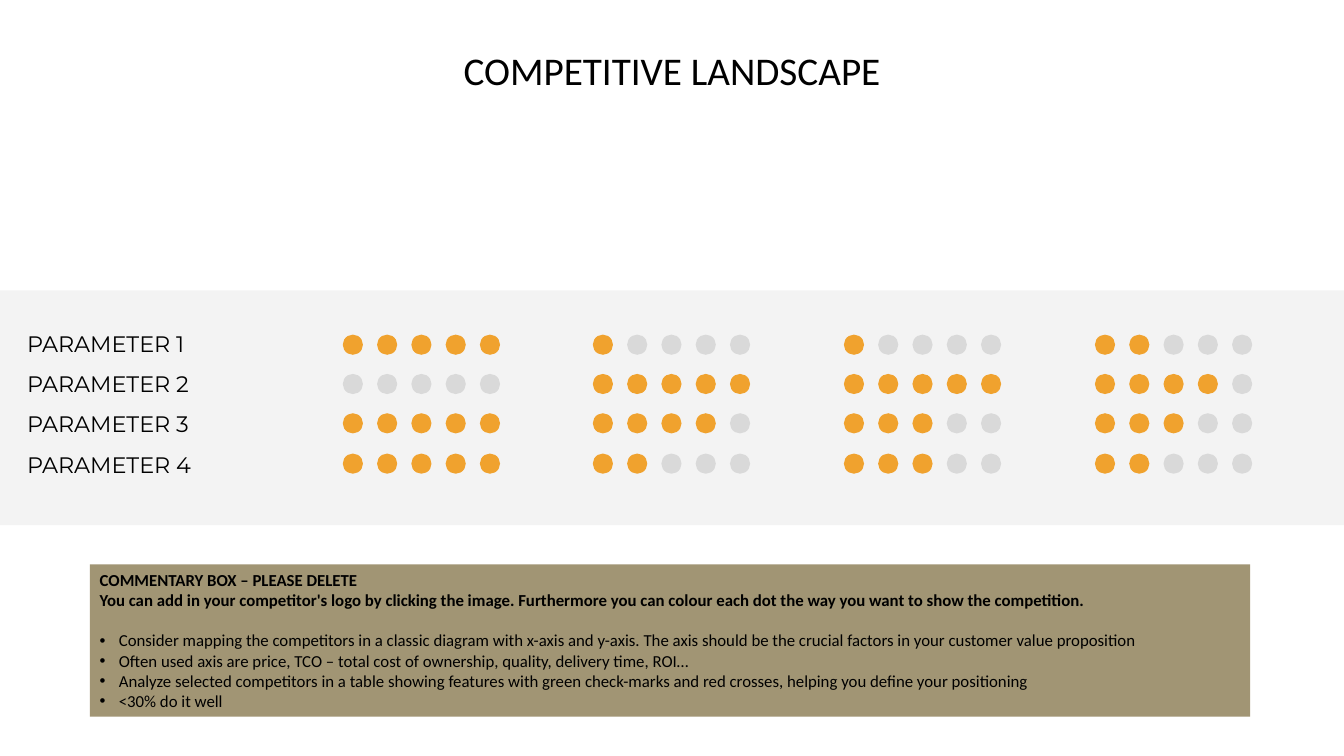
"""Build the competitive landscape slide with dot ratings per parameter."""
import pptx
import pptx.dml.color
import pptx.enum.shapes
import pptx.enum.text
import pptx.oxml.xmlchemy
import pptx.util
from lxml import etree
from pptx.oxml.ns import qn

EMU_PER_PX = 9144
BLACK = pptx.dml.color.RGBColor(0x00, 0x00, 0x00)
GREY = pptx.dml.color.RGBColor(0xD9, 0xD9, 0xD9)
ORANGE = pptx.dml.color.RGBColor(0xF0, 0xA2, 0x2E)
KHAKI = pptx.dml.color.RGBColor(0xA1, 0x95, 0x74)

DOT_SIZE, DOT_PITCH, DOTS_PER_RATING = 20, 34, 5
FIRST_ROW_TOP, ROWS_SPAN = 332, 118
COMPETITOR_LEFTS = (340, 588, 837, 1086)
RATINGS = {
    "PARAMETER 1": (5, 1, 1, 2),
    "PARAMETER 2": (0, 5, 5, 4),
    "PARAMETER 3": (5, 4, 3, 3),
    "PARAMETER 4": (5, 2, 3, 2),
}
COMMENT_HEADINGS = (
    "COMMENTARY BOX – PLEASE DELETE",
    "You can add in your competitor's logo by clicking the image. "
    "Furthermore you can colour each dot the way you want to show the competition.",
)
COMMENT_BULLETS = (
    "Consider mapping the competitors in a classic diagram with x-axis and y-axis. "
    "The axis should be the crucial factors in your customer value proposition",
    "Often used axis are price, TCO – total cost of ownership, quality, delivery time, ROI…",
    "Analyze selected competitors in a table showing features with green check-marks "
    "and red crosses, helping you define your positioning",
    "<30% do it well",
)


def px(length):
    """Convert pixels to EMU."""
    return pptx.util.Emu(length * EMU_PER_PX)


def add_filled_shape(slide, kind, box, color):
    """Add a flat shape without outline."""
    shape = slide.shapes.add_shape(kind, *map(px, box))
    shape.shadow.inherit = False
    shape.fill.solid()
    shape.fill.fore_color.rgb = color
    shape.line.fill.background()
    return shape


def add_text_box(slide, box, anchor):
    """Add a wrapping text box and return its text frame."""
    frame = slide.shapes.add_textbox(*map(px, box)).text_frame
    frame.word_wrap = True
    frame.vertical_anchor = anchor
    return frame


def add_bullet(paragraph, indent):
    """Give a paragraph a hanging round bullet."""
    properties = paragraph._p.get_or_add_pPr()
    properties.set("marL", str(px(indent)))
    properties.set("indent", str(px(-indent)))
    etree.SubElement(properties, qn("a:buFont"), typeface="Arial")
    etree.SubElement(properties, qn("a:buChar"), char="•")


def style_paragraph(paragraph, font_name, size, bold=False,
                    alignment=pptx.enum.text.PP_ALIGN.LEFT, line_spacing=1.0):
    """Set the font and layout of a paragraph."""
    paragraph.alignment = alignment
    paragraph.line_spacing = line_spacing
    paragraph.font.name = font_name
    paragraph.font.size = pptx.util.Pt(size)
    paragraph.font.bold = bold
    paragraph.font.color.rgb = BLACK


def add_band(slide):
    """Add the translucent band behind the ratings."""
    band = add_filled_shape(slide, pptx.enum.shapes.MSO_SHAPE.RECTANGLE,
                            (0, 288, 1333, 233), GREY)
    color = band._element.spPr.find(qn("a:solidFill")).find(qn("a:srgbClr"))
    etree.SubElement(color, qn("a:alpha"), val="30000")


def add_title(slide):
    """Add the centred slide title."""
    frame = add_text_box(slide, (0, 0, 1333, 145), pptx.enum.text.MSO_ANCHOR.MIDDLE)
    frame.text = "COMPETITIVE LANDSCAPE"
    style_paragraph(frame.paragraphs[0], "Calibri", 28,
                    alignment=pptx.enum.text.PP_ALIGN.CENTER, line_spacing=0.9)


def add_rating(slide, left, top, score):
    """Add one row of dots with the first ones highlighted."""
    for index in range(DOTS_PER_RATING):
        add_filled_shape(slide, pptx.enum.shapes.MSO_SHAPE.FLOWCHART_CONNECTOR,
                         (left + index * DOT_PITCH, top, DOT_SIZE, DOT_SIZE),
                         ORANGE if index < score else GREY)


def add_parameter_labels(slide):
    """Add the parameter names left of the ratings."""
    frame = add_text_box(slide, (17, 309, 253, 258), pptx.enum.text.MSO_ANCHOR.TOP)
    frame.text = "\n".join(RATINGS)
    for paragraph in frame.paragraphs:
        style_paragraph(paragraph, "Montserrat", 16, line_spacing=1.5)


def add_commentary(slide):
    """Add the commentary box with headings and bullets."""
    shape = add_filled_shape(slide, pptx.enum.shapes.MSO_SHAPE.RECTANGLE,
                             (89, 560, 1151, 151), KHAKI)
    frame = shape.text_frame
    frame.word_wrap = True
    frame.vertical_anchor = pptx.enum.text.MSO_ANCHOR.TOP
    frame.text = "\n".join(COMMENT_HEADINGS + COMMENT_BULLETS)
    heading_count = len(COMMENT_HEADINGS)
    for index, paragraph in enumerate(frame.paragraphs):
        if index >= heading_count:
            add_bullet(paragraph, 19)
        style_paragraph(paragraph, "Calibri", 12, bold=index < heading_count)
    frame.paragraphs[heading_count].space_before = pptx.util.Pt(14.6)


def main():
    """Create and save the presentation."""
    presentation = pptx.Presentation()
    presentation.slide_width = px(1333)
    presentation.slide_height = px(750)
    slide = presentation.slides.add_slide(presentation.slide_layouts[6])
    add_band(slide)
    add_title(slide)
    for row, scores in enumerate(RATINGS.values()):
        top = FIRST_ROW_TOP + row * ROWS_SPAN // (len(RATINGS) - 1)
        for left, score in zip(COMPETITOR_LEFTS, scores):
            add_rating(slide, left, top, score)
    add_parameter_labels(slide)
    add_commentary(slide)
    presentation.save("out.pptx")


if __name__ == "__main__":
    main()
